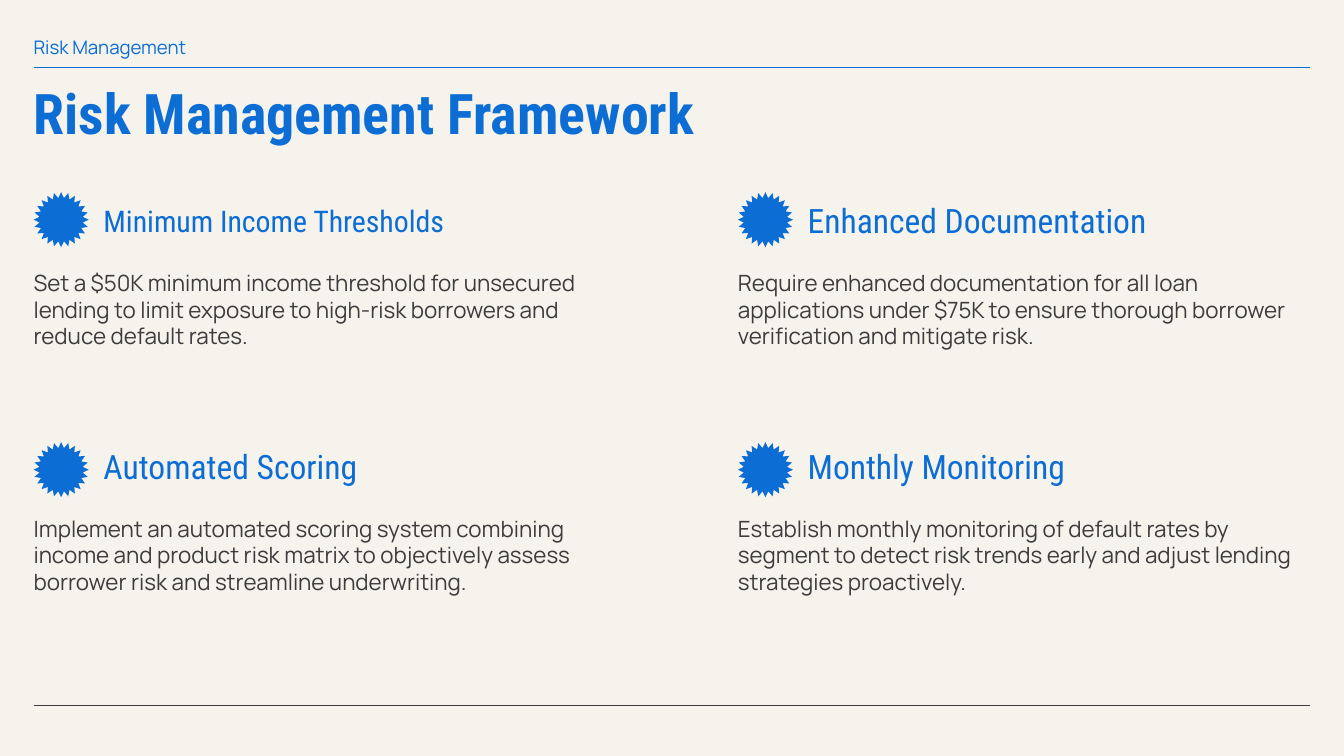
"""Build the Risk Management Framework slide."""
from lxml import etree
from pptx import Presentation
from pptx import util as u
from pptx.dml.color import RGBColor
from pptx.enum import shapes, text
from pptx.oxml.ns import qn

BLUE, GRAY, CREAM = "0C6DD5", "3C3C3C", "F6F3ED"
WIDTH, MARGIN = 10, 0.25
HEIGHT = WIDTH * 9 / 16
SECTION = "Risk Management"
TITLE = "Risk Management Framework"
CARDS = [
    ("Minimum Income Thresholds", 16,
     "Set a $50K minimum income threshold for unsecured lending to limit "
     "exposure to high-risk borrowers and reduce default rates."),
    ("Enhanced Documentation", 18,
     "Require enhanced documentation for all loan applications under $75K to "
     "ensure thorough borrower verification and mitigate risk."),
    ("Automated Scoring", 18,
     "Implement an automated scoring system combining income and product risk "
     "matrix to objectively assess borrower risk and streamline underwriting."),
    ("Monthly Monitoring", 18,
     "Establish monthly monitoring of default rates by segment to detect risk "
     "trends early and adjust lending strategies proactively."),
]
RULES = [(0.5, BLUE), (5.25, GRAY)]
COLUMN_STEP, ROW_STEP, STAR_STEP = 5.24, 1.83, 1.86
CARD_TOP, CARD_WIDTH, HEADING_HEIGHT, BODY_HEIGHT = 1.43, 4.26, 0.47, 1.36
ICON_SIZE, HEADING_INDENT = 0.41, 0.52

TITLE_FONT = {"name": "Roboto Condensed", "size": u.Pt(30), "bold": True}
HEADING_FONT = {"name": "Roboto Condensed", "bold": False}
BODY_FONT = {"name": "Manrope", "size": u.Pt(12), "bold": False}
SECTION_FONT = {"name": "Manrope", "size": u.Pt(10), "bold": False}


def color(value):
    return RGBColor.from_string(value)


def set_all(target, values):
    for name, value in values.items():
        setattr(target, name, value)


def write(shape, box, words, font, font_color, insets, anchor, **spacing):
    set_all(shape, dict(zip(("left", "top", "width", "height"), map(u.Inches, box))))
    frame = shape.text_frame
    sides = ("margin_left", "margin_top", "margin_right", "margin_bottom")
    set_all(frame, dict(zip(sides, map(u.Inches, insets))))
    set_all(frame, {"word_wrap": True, "auto_size": text.MSO_AUTO_SIZE.NONE,
                    "vertical_anchor": anchor, "text": words})
    paragraph = frame.paragraphs[0]
    set_all(paragraph, {"alignment": text.PP_ALIGN.LEFT, "space_before": u.Pt(0),
                        "line_spacing": 1.0, **spacing})
    properties = paragraph._p.get_or_add_pPr()
    for name in ("marL", "indent"):
        properties.set(name, "0")
    etree.SubElement(properties, qn("a:buNone"))
    set_all(paragraph.runs[0].font, font)
    paragraph.runs[0].font.color.rgb = color(font_color)


def add_rule(slide, top, line_color):
    rule = slide.shapes.add_connector(
        shapes.MSO_CONNECTOR.STRAIGHT, u.Inches(MARGIN), u.Inches(top),
        u.Inches(WIDTH - MARGIN), u.Inches(top))
    rule.line.color.rgb = color(line_color)
    rule.line.width = u.Pt(0.75)
    etree.SubElement(rule._element.spPr, qn("a:effectLst"))


def add_star(slide, left, top):
    star = slide.shapes.add_shape(
        shapes.MSO_SHAPE.STAR_24_POINT, u.Inches(left), u.Inches(top),
        u.Inches(ICON_SIZE), u.Inches(ICON_SIZE))
    star.adjustments[0] = 0.395
    star.shadow.inherit = False
    star.fill.solid()
    star.fill.fore_color.rgb = color(BLUE)
    star.line.fill.background()


def add_card(slide, index, body, heading, heading_size, words):
    row, column = divmod(index, 2)
    left = MARGIN + column * COLUMN_STEP
    top = CARD_TOP + row * ROW_STEP
    add_star(slide, left, CARD_TOP + row * STAR_STEP)
    write(slide.shapes.add_textbox(0, 0, 0, 0),
          (left + HEADING_INDENT, top, CARD_WIDTH - HEADING_INDENT, HEADING_HEIGHT),
          heading, {**HEADING_FONT, "size": u.Pt(heading_size)}, BLUE,
          (0, 0, 0.1, 0), text.MSO_ANCHOR.MIDDLE,
          line_spacing=0.85, space_after=u.Pt(8))
    write(body, (left, top + HEADING_HEIGHT, CARD_WIDTH, BODY_HEIGHT), words,
          BODY_FONT, GRAY, (0, 0.1, 0.1, 0.1), text.MSO_ANCHOR.TOP,
          space_after=u.Pt(10))


def main():
    presentation = Presentation()
    presentation.slide_width = u.Inches(WIDTH)
    presentation.slide_height = u.Inches(HEIGHT)
    slide = presentation.slides.add_slide(
        presentation.slide_layouts.get_by_name("Comparison"))
    slide.background.fill.solid()
    slide.background.fill.fore_color.rgb = color(CREAM)
    title, *bodies = list(slide.placeholders)

    for top, line_color in RULES:
        add_rule(slide, top, line_color)
    write(slide.shapes.add_textbox(0, 0, 0, 0), (MARGIN, 0.17, 4.63, 0.26),
          SECTION, SECTION_FONT, BLUE, (0, 0.1, 0.1, 0.1), text.MSO_ANCHOR.TOP)
    write(title, (MARGIN, 0.57, WIDTH - 2 * MARGIN, 0.63), TITLE, TITLE_FONT,
          BLUE, (0, 0.1, 0, 0.1), text.MSO_ANCHOR.MIDDLE, line_spacing=0.75)
    for index, (body, card) in enumerate(zip(bodies, CARDS)):
        add_card(slide, index, body, *card)
    presentation.save("out.pptx")


if __name__ == "__main__":
    main()
